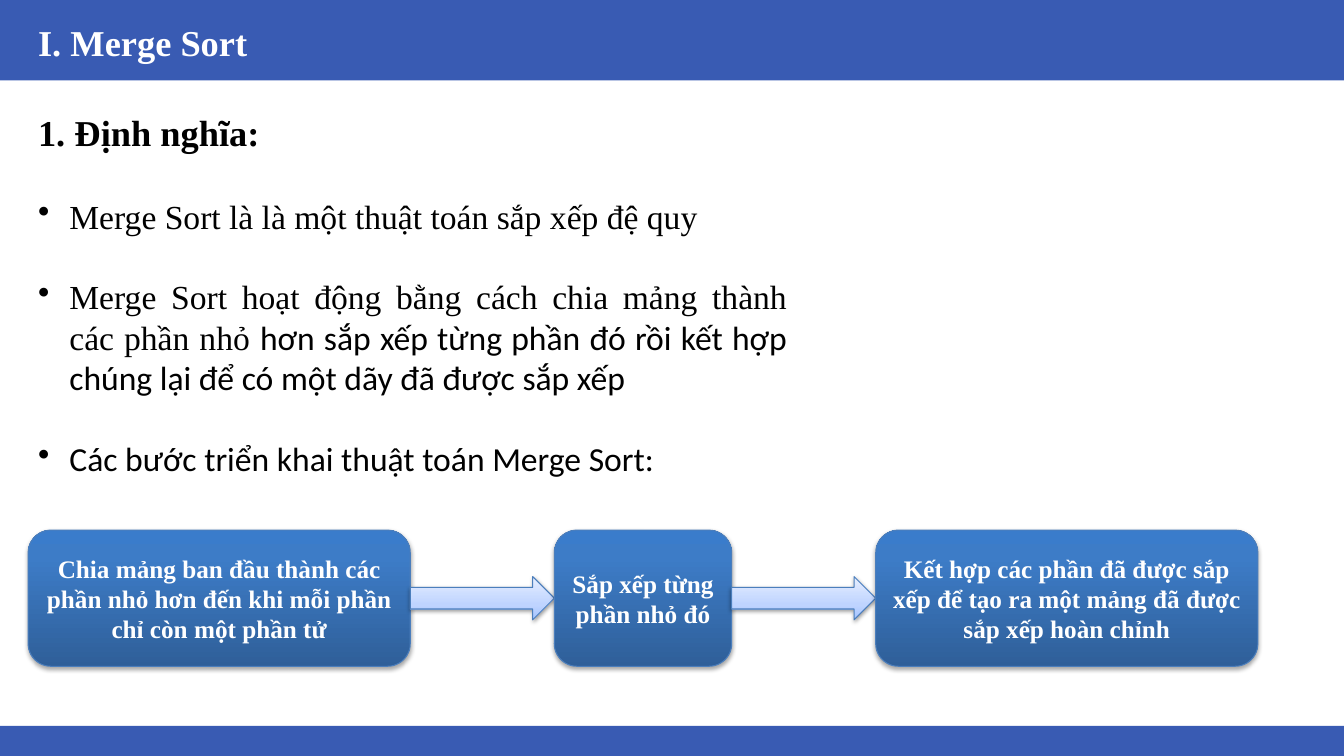
from lxml import etree
from pptx import Presentation
from pptx.dml.color import RGBColor
from pptx.enum.shapes import MSO_SHAPE as Preset
from pptx.enum.text import MSO_ANCHOR as Anchor, MSO_AUTO_SIZE as AutoSize, PP_ALIGN as Align
from pptx.oxml.ns import qn
from pptx.util import Cm, Pt

SERIF, SANS = "Times New Roman", "Calibri"
WIDTH, HEIGHT = 33.87, 19.05
MARGIN = 0.71

HEADINGS = [("I. Merge Sort", 0.38, 11, "FFFFFF"), ("1. Định nghĩa:", 2.64, 8.03, "000000")]
BULLETS = [
    [("Merge Sort là là một thuật toán sắp xếp đệ quy", SERIF)],
    [
        ("Merge Sort hoạt động bằng cách chia mảng thành các phần nhỏ ", SERIF),
        ("hơn sắp xếp từng phần đó rồi kết hợp chúng lại để có một dãy đã được sắp xếp", SANS),
    ],
    [("Các bước triển khai thuật toán Merge Sort:", SANS)],
]
STEPS = [
    ("Chia mảng ban đầu thành các phần nhỏ hơn đến khi mỗi phần chỉ còn một phần tử", 9.63),
    ("Sắp xếp từng phần nhỏ đó", 4.47),
    ("Kết hợp các phần đã được sắp xếp để tạo ra một mảng đã được sắp xếp hoàn chỉnh", 9.63),
]
STEP_TOP, STEP_HEIGHT = 13.36, 3.43
ARROW_WIDTH, ARROW_HEIGHT = 3.63, 1.09


def color(value):
    return RGBColor.from_string(value)


def add_element(parent, tag, **attributes):
    return etree.SubElement(parent, qn(tag), {key: str(value) for key, value in attributes.items()})


class SlideBuilder:
    bar_color = "395BB3"
    outline = "4B7EBC"
    step_stops = [(0, "2F5F99"), (80, "3D7CC7"), (100, "3A7CCB")]
    arrow_stops = [(0, "A4C4FF"), (35, "BFD4FF"), (100, "E6EEFF")]

    def __init__(self, slide):
        self.slide = slide

    def format_run(self, run, size, font, hex_color, bold=False):
        run.font.size = Pt(size)
        run.font.name = font
        run.font.bold = bold
        run.font.color.rgb = color(hex_color)

    def shape(self, preset, left, top, width, height):
        shape = self.slide.shapes.add_shape(preset, Cm(left), Cm(top), Cm(width), Cm(height))
        shape.shadow.inherit = False
        return shape

    def bar(self, top, height):
        bar = self.shape(Preset.RECTANGLE, 0, top, WIDTH, height)
        bar.fill.solid()
        bar.fill.fore_color.rgb = color(self.bar_color)
        bar.line.fill.background()

    def glossy_shape(self, preset, left, top, width, height, stops, shadow_alpha, shadow_distance):
        shape = self.shape(preset, left, top, width, height)
        shape.fill.gradient()
        shape.fill.gradient_angle = 90
        shape.line.color.rgb = color(self.outline)
        shape.line.width = Pt(0.75)
        properties = shape.element.spPr
        stop_list = properties.find(qn("a:gradFill")).find(qn("a:gsLst"))
        for stop in list(stop_list):
            stop_list.remove(stop)
        for position, hex_color in stops:
            stop = add_element(stop_list, "a:gs", pos=position * 1000)
            add_element(stop, "a:srgbClr", val=hex_color)
        shadow = add_element(
            properties.find(qn("a:effectLst")), "a:outerShdw", blurRad=Pt(3.1),
            dist=Pt(shadow_distance), dir=90 * 60000, rotWithShape=0,
        )
        shadow_color = add_element(shadow, "a:srgbClr", val="000000")
        add_element(shadow_color, "a:alpha", val=shadow_alpha * 1000)
        return shape

    def step(self, text, left, width):
        box = self.glossy_shape(Preset.ROUNDED_RECTANGLE, left, STEP_TOP, width, STEP_HEIGHT,
                                self.step_stops, 35, 1.8)
        frame = box.text_frame
        frame.word_wrap = True
        frame.vertical_anchor = Anchor.MIDDLE
        frame.text = text
        paragraph = frame.paragraphs[0]
        paragraph.alignment = Align.CENTER
        self.format_run(paragraph.runs[0], 18, SERIF, "FFFFFF", True)

    def arrow(self, left):
        top = STEP_TOP + (STEP_HEIGHT - ARROW_HEIGHT) / 2
        self.glossy_shape(Preset.RIGHT_ARROW, left, top, ARROW_WIDTH, ARROW_HEIGHT,
                          self.arrow_stops, 38, 1.6)

    def text_box(self, top, width, height):
        box = self.slide.shapes.add_textbox(Cm(MARGIN), Cm(top), Cm(width), Cm(height))
        frame = box.text_frame
        frame.word_wrap = True
        frame.auto_size = AutoSize.SHAPE_TO_FIT_TEXT
        return frame

    def heading(self, text, top, width, hex_color):
        frame = self.text_box(top, width, 1.37)
        frame.text = text
        self.format_run(frame.paragraphs[0].runs[0], 26, SERIF, hex_color, True)

    def bullet_list(self, items, top, width, height):
        frame = self.text_box(top, width, height)
        for index, item in enumerate(items):
            paragraph = frame.add_paragraph() if index else frame.paragraphs[0]
            paragraph.alignment = Align.JUSTIFY
            paragraph.space_before = Pt(29 if index else 0)
            properties = paragraph._p.get_or_add_pPr()
            properties.set("marL", str(Cm(0.79)))
            properties.set("indent", str(-Cm(0.79)))
            add_element(properties, "a:buChar", char="•")
            for text, font in item:
                run = paragraph.add_run()
                run.text = text
                self.format_run(run, 24, font, "000000")


def main():
    presentation = Presentation()
    presentation.slide_width = Cm(WIDTH)
    presentation.slide_height = Cm(HEIGHT)
    builder = SlideBuilder(presentation.slides.add_slide(presentation.slide_layouts[6]))
    builder.bar(0, 2.03)
    builder.bar(18.29, 0.76)
    for heading in HEADINGS:
        builder.heading(*heading)
    builder.bullet_list(BULLETS, 4.8, 19.38, 7.44)
    left = MARGIN
    for index, (text, width) in enumerate(STEPS):
        if index:
            builder.arrow(left)
            left += ARROW_WIDTH
        builder.step(text, left, width)
        left += width
    presentation.save("out.pptx")


if __name__ == "__main__":
    main()
